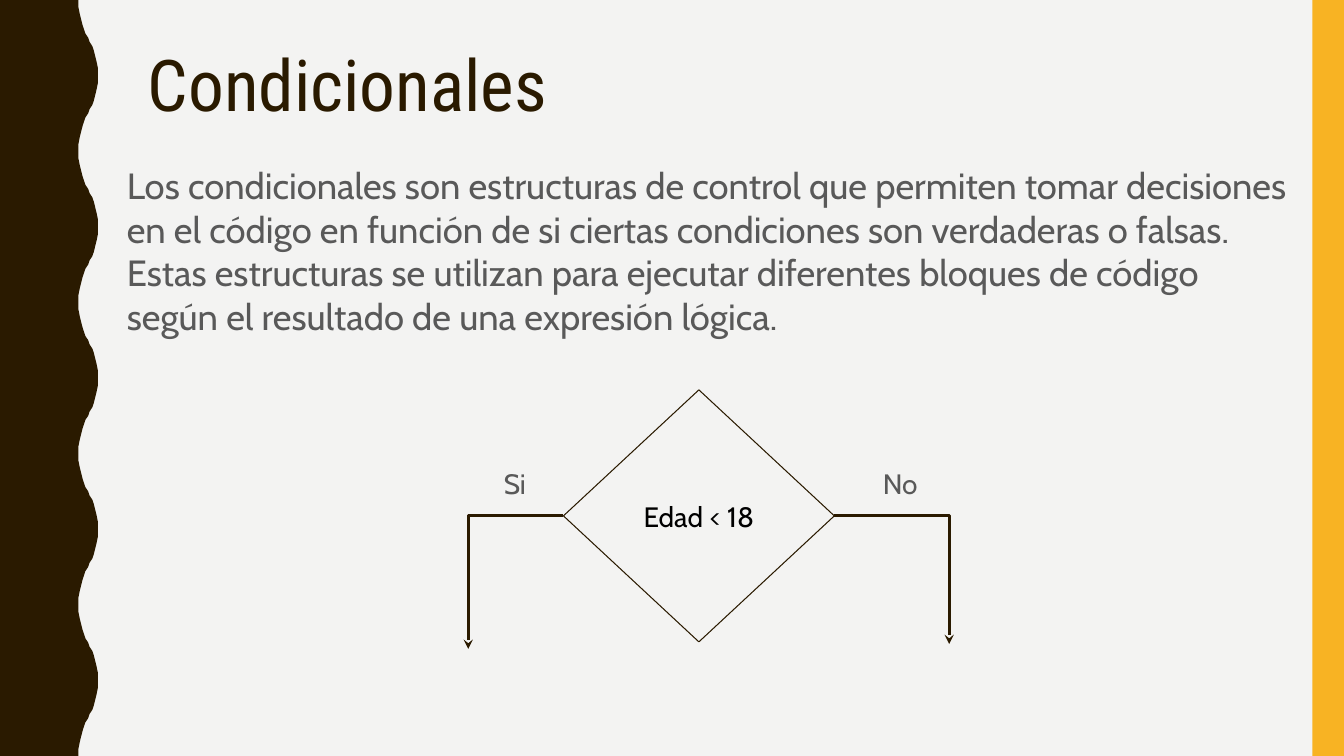
from lxml import etree
from pptx import Presentation
from pptx.dml.color import RGBColor
from pptx.enum.shapes import MSO_CONNECTOR as Connector, MSO_SHAPE as Shape
from pptx.enum.text import MSO_ANCHOR as Anchor, PP_ALIGN as Align
from pptx.oxml.ns import qn
from pptx.util import Pt

BACKGROUND = RGBColor(0xF3, 0xF3, 0xF2)
BROWN = RGBColor(0x2A, 0x1A, 0x00)
YELLOW = RGBColor(0xF8, 0xB3, 0x23)
GRAY = RGBColor(0x59, 0x59, 0x59)
BLACK = RGBColor(0, 0, 0)

TITLE_FONT = "Roboto Condensed"
BODY_FONT = "Cabin"
WIDTH, HEIGHT = 960, 540
WAVE_PERIOD = 108
# Half a wave, from its trough to its crest; the other half mirrors it
HALF_WAVE = [(56, 0), (56.4, 5), (57, 10), (57.8, 14.5), (58.6, 18),
             (60, 21), (61.2, 24), (62.6, 27), (64, 30), (65.5, 33),
             (67, 36), (68.4, 39.5), (69.2, 44), (69.8, 49), (70, 54)]


def paint(shape, fill, line=None, line_width=0.75):
    shape.shadow.inherit = False
    shape.fill.solid()
    shape.fill.fore_color.rgb = fill
    if line is None:
        shape.line.fill.background()
    else:
        shape.line.color.rgb = line
        shape.line.width = Pt(line_width)


def write(shape, text, size, color, font=BODY_FONT, align=Align.LEFT,
          anchor=Anchor.TOP, margin=3.6):
    frame = shape.text_frame
    frame.word_wrap = True
    frame.vertical_anchor = anchor
    frame.margin_left = frame.margin_right = Pt(7.2)
    frame.margin_top = frame.margin_bottom = Pt(margin)
    paragraph = frame.paragraphs[0]
    paragraph.text = text
    paragraph.alignment = align
    paragraph.font.size = Pt(size)
    paragraph.font.name = font
    paragraph.font.color.rgb = color
    return paragraph


def add_side_bands(slide):
    descent = [(x, WAVE_PERIOD - y) for x, y in HALF_WAVE[-2:0:-1]]
    wave = [(x, y + period * WAVE_PERIOD)
            for period in range(HEIGHT // WAVE_PERIOD)
            for x, y in HALF_WAVE + descent]
    builder = slide.shapes.build_freeform(0, 0, scale=Pt(1))
    builder.add_line_segments(wave + [(56, HEIGHT), (0, HEIGHT)], close=True)
    paint(builder.convert_to_shape(), BROWN)

    band = slide.shapes.add_shape(Shape.RECTANGLE, Pt(937.5), 0,
                                  Pt(WIDTH - 937.5), Pt(HEIGHT))
    paint(band, YELLOW)


def add_title(slide, left, top, width, height):
    title = slide.shapes.title
    title.left, title.top = Pt(left), Pt(top)
    title.width, title.height = Pt(width), Pt(height)
    paragraph = write(title, "Condicionales", 51, BROWN, TITLE_FONT,
                      anchor=Anchor.MIDDLE)
    paragraph.line_spacing = 0.9


def add_definition(slide, left, top, width, height):
    box = slide.shapes.add_textbox(Pt(left), Pt(top), Pt(width), Pt(height))
    write(box, "Los condicionales son estructuras de control que permiten "
          "tomar decisiones en el código en función de si ciertas condiciones "
          "son verdaderas o falsas. Estas estructuras se utilizan para "
          "ejecutar diferentes bloques de código según el resultado de una "
          "expresión lógica.", 26, GRAY)


def add_branch(slide, decision, site, start, end):
    """Join an arrow that runs sideways and then down to a decision's side."""
    points = [Pt(value) for value in (*start, *end)]
    branch = slide.shapes.add_connector(Connector.ELBOW, *points)
    branch.begin_connect(decision, site)
    branch.line.color.rgb = BROWN
    branch.line.width = Pt(2.25)
    properties = branch._element.spPr
    properties.find(qn("a:prstGeom")).set("prst", "bentConnector2")
    etree.SubElement(branch.line._get_or_add_ln(), qn("a:tailEnd"),
                     type="stealth")
    etree.SubElement(properties, qn("a:effectLst"))


def add_flowchart(slide, left, top, width, height):
    decision = slide.shapes.add_shape(Shape.FLOWCHART_DECISION, Pt(left),
                                      Pt(top), Pt(width), Pt(height))
    paint(decision, BACKGROUND, BROWN)
    write(decision, "Edad < 18", 20, BLACK, align=Align.CENTER,
          anchor=Anchor.MIDDLE, margin=7.2)

    middle, right = top + height / 2, left + width
    branches = [("Si", 1, left, -68, 95, left - 53.5, 37.5),
                ("No", 3, right, 82, 91.5, right + 22.5, 49)]
    for text, site, side, reach, drop, label_left, label_width in branches:
        add_branch(slide, decision, site, (side, middle),
                   (side + reach, middle + drop))
        label = slide.shapes.add_textbox(Pt(label_left), Pt(middle - 42.5),
                                         Pt(label_width), Pt(42.5))
        write(label, text, 20, GRAY, align=Align.CENTER, margin=7.2)


def main():
    presentation = Presentation()
    presentation.slide_width, presentation.slide_height = Pt(WIDTH), Pt(HEIGHT)
    slide = presentation.slides.add_slide(presentation.slide_layouts[5])
    slide.background.fill.solid()
    slide.background.fill.fore_color.rgb = BACKGROUND
    add_side_bands(slide)
    add_title(slide, 98.5, 30, 801.5, 67)
    add_definition(slide, 83.5, 113, 851, 149)
    add_flowchart(slide, 402.5, 278.5, 193.5, 180)
    presentation.save("out.pptx")


if __name__ == "__main__":
    main()
